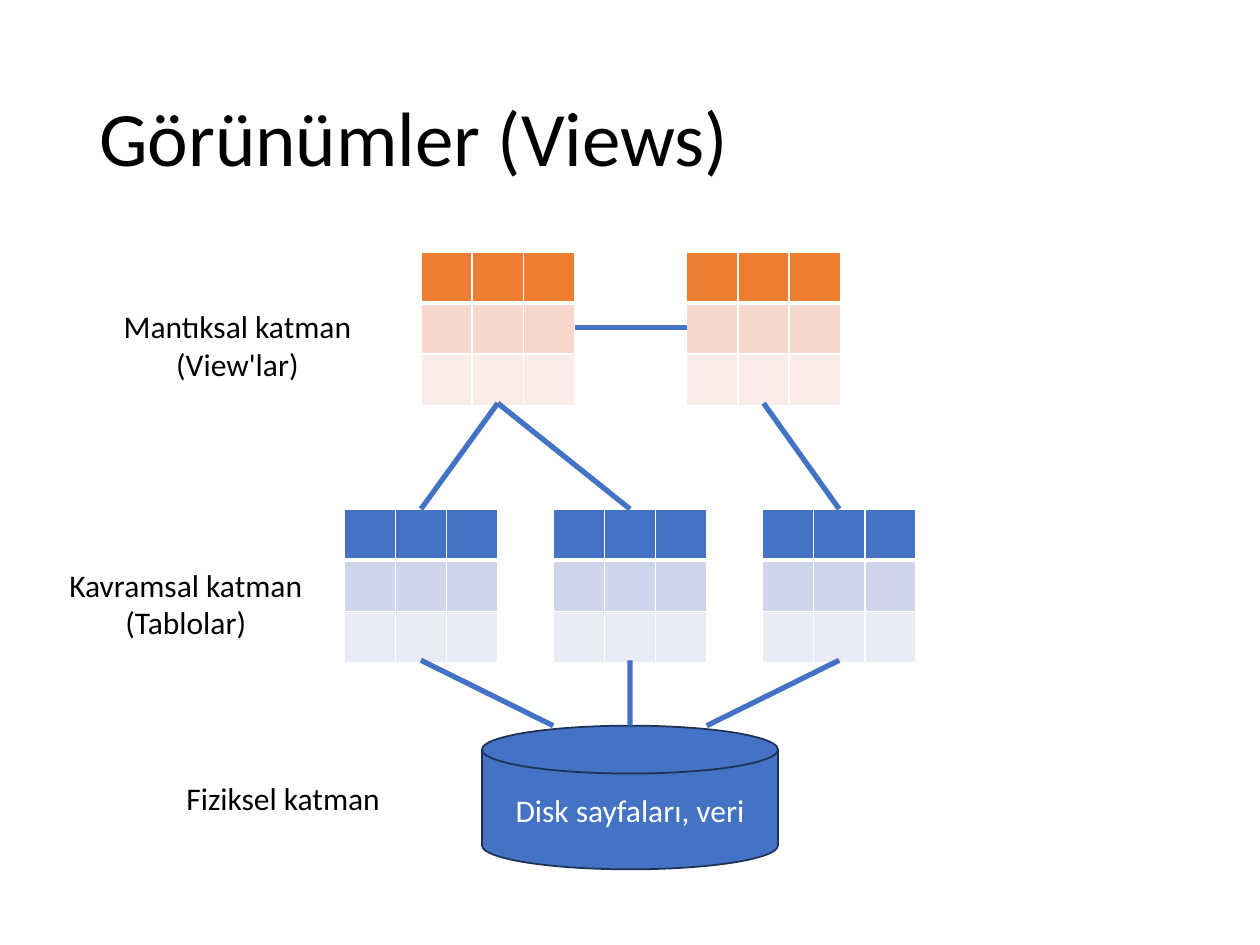
from dataclasses import dataclass

from lxml.etree import SubElement
from pptx import Presentation
from pptx.dml.color import RGBColor
from pptx.enum.shapes import MSO_CONNECTOR as CXN, MSO_SHAPE as SHP
from pptx.enum.text import MSO_ANCHOR as ANC, MSO_AUTO_SIZE as FIT, PP_ALIGN as AL
from pptx.oxml.ns import qn
from pptx.util import Pt

BLUE, WHITE, BLACK = "4472C4", "FFFFFF", "000000"
BLUE_BANDS = (BLUE, "CFD5EA", "E9EBF5")
ORANGE_BANDS = ("ED7D31", "F8D7CE", "FCECE8")
COL_W, ROW_H, N = 29.3, 28.8, 3
TOP, LEFT, BOTTOM, RIGHT = range(4)


@dataclass
class Grid:
    left: float
    top: float
    bands: tuple


@dataclass
class Label:
    left: float
    top: float
    width: float
    height: float
    lines: tuple
    align: AL = AL.CENTER


def rgb(color: str) -> RGBColor:
    return RGBColor.from_string(color)


def write(tf, lines, size, color, align, **frame):
    """Fill a text frame with one paragraph per line."""
    for name, value in frame.items():
        setattr(tf, name, value)
    for i, line in enumerate(lines):
        p = tf.add_paragraph() if i else tf.paragraphs[0]
        p.alignment = align
        r = p.add_run()
        r.text = line
        for name, value in {"size": Pt(size), "name": "Calibri"}.items():
            setattr(r.font, name, value)
        r.font.color.rgb = rgb(color)


def set_borders(cell, widths: dict):
    """Put white cell borders ahead of the cell fill."""
    tc_pr = cell._tc.get_or_add_tcPr()
    for i, (side, width) in enumerate(widths.items()):
        ln = SubElement(tc_pr, qn(f"a:{side}"), w=str(Pt(width)))
        fill = SubElement(ln, qn("a:solidFill"))
        SubElement(fill, qn("a:srgbClr"), val=WHITE)
        tc_pr.insert(i, ln)


def draw_grid(s, g: Grid):
    gf = s.shapes.add_table(N, N, Pt(g.left), Pt(g.top), Pt(N * COL_W), Pt(N * ROW_H))
    for col in gf.table.columns:
        col.width = Pt(COL_W)
    for i, row in enumerate(gf.table.rows):
        row.height = Pt(ROW_H)
        for cell in row.cells:
            cell.fill.solid()
            cell.fill.fore_color.rgb = rgb(g.bands[i])
            set_borders(cell, {"lnL": 1, "lnR": 1,
                               "lnT": 3 if i == 1 else 1,
                               "lnB": 3 if i == 0 else 1})
    return gf


def draw_label(s, b: Label):
    sp = s.shapes.add_textbox(Pt(b.left), Pt(b.top), Pt(b.width), Pt(b.height))
    write(sp.text_frame, b.lines, 18, BLACK, b.align,
          word_wrap=False, auto_size=FIT.SHAPE_TO_FIT_TEXT)


def draw_link(s, start, side, end=None, end_side=TOP, point=(0, 0)):
    """Join a table side to another table side, or to a point."""
    x, y = map(Pt, point)
    c = s.shapes.add_connector(CXN.STRAIGHT, x, y, x, y)
    c.begin_connect(start, side)
    if end is not None:
        c.end_connect(end, end_side)
    c.line.color.rgb = rgb(BLUE)
    c.line.width = Pt(3)
    SubElement(c._element.spPr, qn("a:effectLst"))


def main():
    prs = Presentation()
    prs.slide_width, prs.slide_height = Pt(720), Pt(540)
    s = prs.slides.add_slide(prs.slide_layouts[5])

    # Title
    title = s.shapes.title
    box = {"left": 49.5, "top": 28.8, "width": 621, "height": 104.4}
    for name, value in box.items():
        setattr(title, name, Pt(value))
    write(title.text_frame, ["Görünümler (Views)"], 44, BLACK, AL.LEFT,
          vertical_anchor=ANC.MIDDLE, auto_size=FIT.NONE)
    title.text_frame.paragraphs[0].line_spacing = 0.9

    # Physical layer: disk
    disk_top = 414.7
    disk = s.shapes.add_shape(SHP.FLOWCHART_MAGNETIC_DISK,
                              Pt(275.4), Pt(disk_top), Pt(169.2), Pt(82.1))
    disk.shadow.inherit = False
    disk.fill.solid()
    disk.fill.fore_color.rgb = rgb(BLUE)
    disk.line.color.rgb = rgb("1E3256")
    disk.line.width = Pt(1)
    write(disk.text_frame, ["Disk sayfaları, veri"], 18, WHITE, AL.CENTER,
          vertical_anchor=ANC.MIDDLE, word_wrap=True)

    # Conceptual layer: tables; logical layer: views
    tables = [draw_grid(s, Grid(196.6 + 119.5 * i, 290.9, BLUE_BANDS)) for i in range(3)]
    views = [draw_grid(s, Grid(240.5 + 151.9 * i, 144, ORANGE_BANDS)) for i in range(2)]

    # Layer names
    for label in (
        Label(99.4, 441.4, 126, 29.1, ("Fiziksel katman",), AL.LEFT),
        Label(31.7, 319.7, 149, 50.9, ("Kavramsal katman", "(Tablolar)")),
        Label(62.6, 172.1, 146.2, 50.9, ("Mantıksal katman", "(View'lar)")),
    ):
        draw_label(s, label)

    # Links: tables to disk, views to tables, view to view
    for table, x in zip(tables, (316.1, 360, 403.9)):
        draw_link(s, table, BOTTOM, point=(x, disk_top))
    for view, table in ((0, 0), (0, 1), (1, 2)):
        draw_link(s, views[view], BOTTOM, tables[table])
    draw_link(s, views[0], RIGHT, views[1], LEFT)

    prs.save("out.pptx")


if __name__ == "__main__":
    main()
